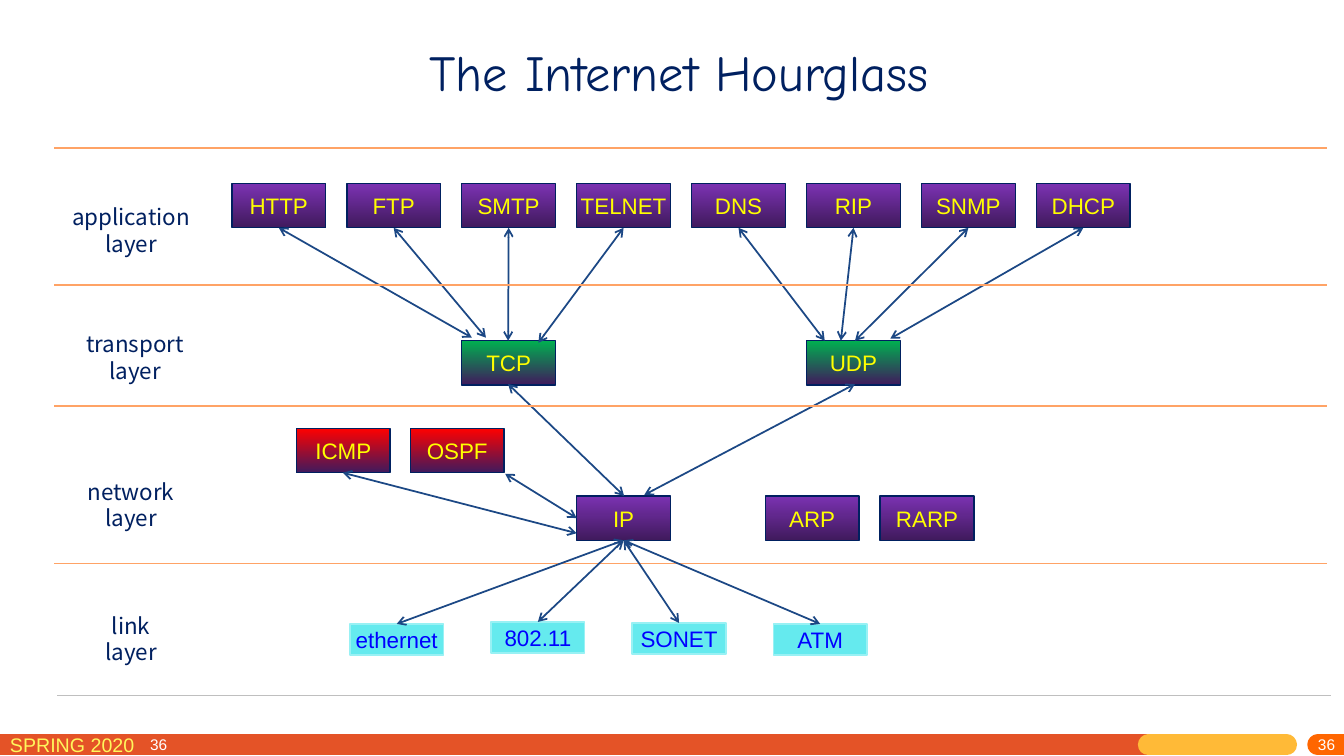
from lxml import etree
from pptx import Presentation
from pptx import util as u
from pptx.dml.color import RGBColor
from pptx.enum import shapes, text
from pptx.oxml.ns import qn

NAVY = RGBColor(0x00, 0x20, 0x60)
PURPLE = RGBColor(0x7B, 0x32, 0xB2)
DARK_PURPLE = RGBColor(0x40, 0x1A, 0x5D)
GREEN = RGBColor(0x00, 0xB0, 0x50)
RED = RGBColor(0xFF, 0x00, 0x00)
YELLOW = RGBColor(0xFF, 0xFF, 0x00)
CYAN = RGBColor(0x65, 0xEA, 0xEE)
PALE_CYAN = RGBColor(0x98, 0xF1, 0xF4)
BLUE = RGBColor(0x00, 0x00, 0xFF)
ARROW_BLUE = RGBColor(0x1C, 0x48, 0x85)
RULE_ORANGE = RGBColor(0xFF, 0xA3, 0x66)
RULE_GREY = RGBColor(0xBF, 0xBF, 0xBF)
BAR_RED = RGBColor(0xE4, 0x53, 0x27)
BAR_AMBER = RGBColor(0xFF, 0xBA, 0x37)
BAR_ORANGE = RGBColor(0xFF, 0x66, 0x00)
LEMON = RGBColor(0xFF, 0xF6, 0x5C)
WHITE = RGBColor(0xFF, 0xFF, 0xFF)

LEFT = text.PP_ALIGN.LEFT
CENTER = text.PP_ALIGN.CENTER
RIGHT = text.PP_ALIGN.RIGHT
TOP = text.MSO_ANCHOR.TOP
MIDDLE = text.MSO_ANCHOR.MIDDLE

BOX_W, BOX_H, LINK_H = 0.93, 0.44, 0.31
APP_X, APP_STEP, APP_Y = 2.3, 1.14, 1.82
TRANSPORT_Y, IP_X, IP_Y = 3.38, 5.72, 4.92
APPS = ["HTTP", "FTP", "SMTP", "TELNET", "DNS", "RIP", "SNMP", "DHCP"]
APP_TARGETS = [(4.68, 3.35), (4.82, 3.35), (5.04, 3.38), (5.34, 3.4),
               (8.18, 3.38), (8.34, 3.38), (8.48, 3.38), (8.83, 3.36)]
LINKS = [("ethernet", 6.19), ("802.11", 6.17), ("SONET", 6.18), ("ATM", 6.19)]
LAYERS = [("application layer", 0.52, 1.97, 1.56),
          ("transport\nlayer", 0.45, 3.23, 1.78),
          ("network\nlayer", 0.52, 4.69, 1.56),
          ("link\nlayer", 0.52, 6.02, 1.56)]


def set_text(tf, words, size, font, color, align):
    """Fill a text frame, one paragraph for each line of words."""
    tf.word_wrap = True
    tf.text = words
    for p in tf.paragraphs:
        p.alignment = align
        p.font.size = u.Pt(size)
        p.font.name = font
        p.font.color.rgb = color


def add_label(s, words, x, y, w, h, size, font, color, align, anchor=TOP, spacing=None):
    """Add a text box."""
    tf = s.shapes.add_textbox(*map(u.Inches, (x, y, w, h))).text_frame
    set_text(tf, words, size, font, color, align)
    tf.vertical_anchor = anchor
    if anchor == MIDDLE:
        tf.margin_top = 0
    for p in tf.paragraphs:
        p.line_spacing = spacing


def add_box(s, words, x, y, h, line, color):
    """Add a protocol box with centred text and return it."""
    sp = s.shapes.add_shape(shapes.MSO_SHAPE.RECTANGLE, *map(u.Inches, (x, y, BOX_W, h)))
    sp.shadow.inherit = False
    sp.line.color.rgb = line
    sp.line.width = u.Pt(1)
    tf = sp.text_frame
    tf.margin_left = tf.margin_right = tf.margin_top = tf.margin_bottom = 0
    tf.vertical_anchor = MIDDLE
    set_text(tf, words, 16, "Arial", color, CENTER)
    return sp


def add_protocol(s, words, x, y, top=PURPLE):
    """Add a box that fades from the top colour to dark purple."""
    fill = add_box(s, words, x, y, BOX_H, NAVY, YELLOW).fill
    fill.gradient()
    fill.gradient_angle = 270
    for stop, color, pos in zip(fill.gradient_stops, (top, DARK_PURPLE), (0, 1)):
        stop.color.rgb = color
        stop.position = pos


def add_link(s, words, x, y):
    """Add a flat cyan link-layer box."""
    fill = add_box(s, words, x, y, LINK_H, PALE_CYAN, BLUE).fill
    fill.solid()
    fill.fore_color.rgb = CYAN


def add_line(s, start, end, color, width=1.25):
    """Add a straight line without shadow and return its a:ln element."""
    c = s.shapes.add_connector(shapes.MSO_CONNECTOR.STRAIGHT, *map(u.Inches, start + end))
    c.line.color.rgb = color
    c.line.width = u.Pt(width)
    sp_pr = c._element.spPr
    etree.SubElement(sp_pr, qn("a:effectLst"))
    return sp_pr.find(qn("a:ln"))


def add_arrow(s, start, end):
    """Add a line with an open arrowhead at both ends."""
    ln = add_line(s, start, end, ARROW_BLUE)
    for tag in ("a:headEnd", "a:tailEnd"):
        etree.SubElement(ln, qn(tag), type="arrow")


def add_footer(s):
    """Add the footer bars, term and slide numbers."""
    for x1, x2, color, cap in [(0, 11.39, BAR_RED, "flat"), (11.39, 12.76, BAR_AMBER, "rnd"),
                               (13.07, 13.33, BAR_ORANGE, "rnd")]:
        add_line(s, (x1, 7.39), (x2, 7.39), color, 15).set("cap", cap)
    add_label(s, "SPRING 2020", 0, 7.22, 2.29, 0.31, 14, "Arial", LEMON, LEFT)
    add_label(s, "36", 10.75, 7.32, 2.59, 0.18, 11, "Arial", WHITE, RIGHT, MIDDLE)
    add_label(s, "36", 1.39, 7.33, 0.55, 0.15, 11, "Arial", WHITE, LEFT, MIDDLE)


def add_protocols(s):
    """Add the boxes of the application, transport and network layers."""
    for i, name in enumerate(APPS):
        add_protocol(s, name, APP_X + i * APP_STEP, APP_Y)
    for name, column in (("TCP", 2), ("UDP", 5)):
        add_protocol(s, name, APP_X + column * APP_STEP, TRANSPORT_Y, GREEN)
    for name, x in (("ICMP", 2.94), ("OSPF", 4.07)):
        add_protocol(s, name, x, 4.25, RED)
    for name, x in (("IP", IP_X), ("ARP", 7.59), ("RARP", 8.73)):
        add_protocol(s, name, x, IP_Y)


def add_arrows(s):
    """Join the protocols down to IP."""
    for i, target in enumerate(APP_TARGETS):
        add_arrow(s, (APP_X + i * APP_STEP + BOX_W / 2, APP_Y + BOX_H), target)
    for start, end in [((5.04, 3.81), (6.19, 4.92)), ((8.48, 3.81), (6.39, 4.91)),
                       ((5.01, 4.7), (5.72, 5.14)), ((3.4, 4.69), (5.72, 5.29))]:
        add_arrow(s, start, end)


def main():
    """Build and save the slide."""
    prs = Presentation()
    prs.slide_width, prs.slide_height = u.Inches(13.33), u.Inches(7.5)
    s = prs.slides.add_slide(prs.slide_layouts[6])
    add_footer(s)
    add_protocols(s)
    add_arrows(s)
    for y in (1.47, 2.83, 4.03, 5.59):
        add_line(s, (0.54, y), (13.16, y), RULE_ORANGE)
    add_line(s, (0.57, 6.9), (13.2, 6.9), RULE_GREY, 0.75)
    for words, x, y, w in LAYERS:
        add_label(s, words, x, y, w, 0.64, 16, "Noto Sans CJK SC", NAVY, CENTER)
    add_label(s, "The Internet Hourglass", 3.64, 0.36, 6.19, 0.71, 36, "Comic Neue", NAVY, CENTER)
    for i, (name, y) in enumerate(LINKS):
        x = 3.47 + i * 1.4
        add_link(s, name, x, y)
        add_arrow(s, (x + BOX_W / 2, y), (IP_X + BOX_W / 2, IP_Y + BOX_H))
    prs.save("out.pptx")


if __name__ == "__main__":
    main()
